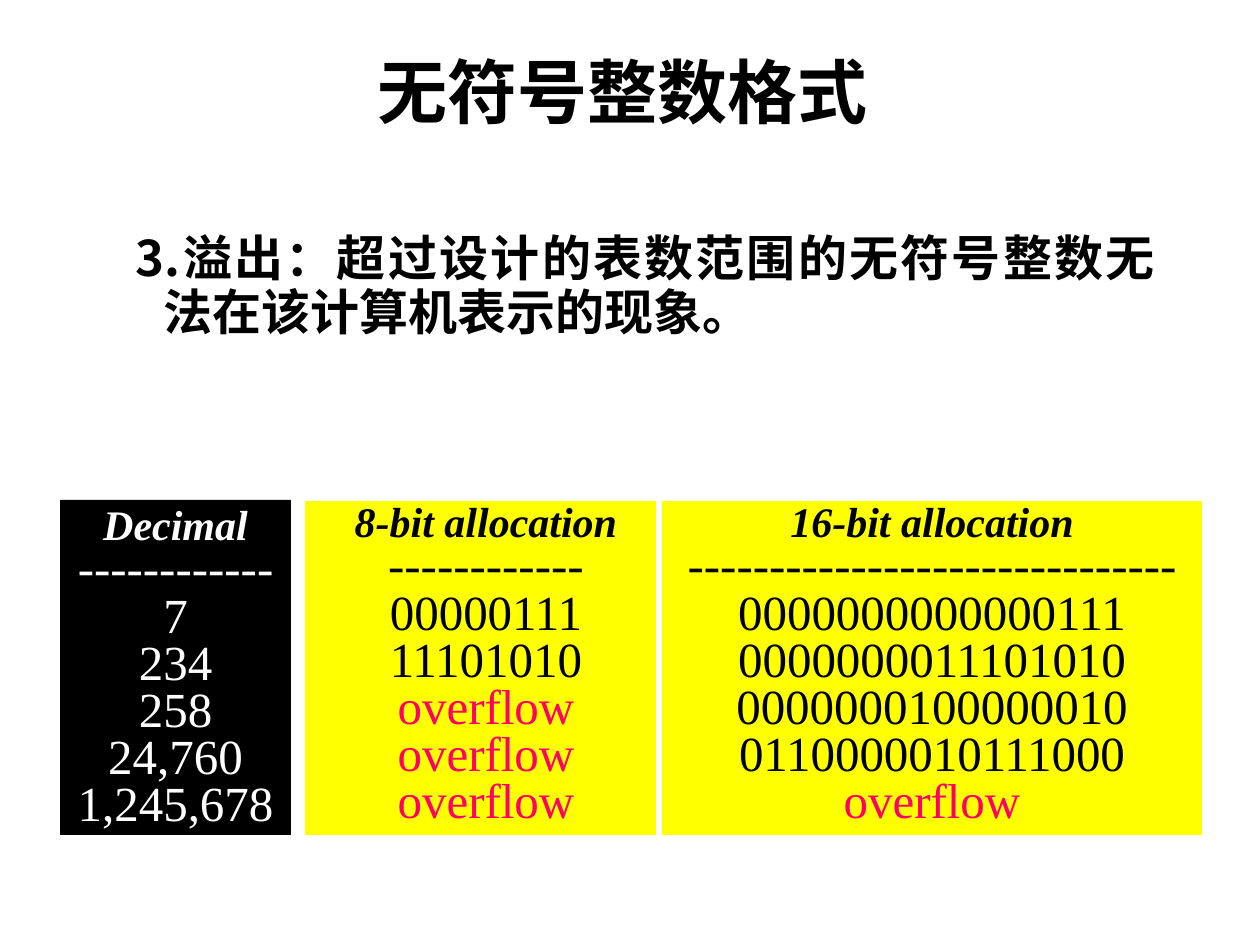
from pptx import Presentation
from pptx import util as u
from pptx.dml import color
from pptx.enum import shapes, text

SCALE = 914400 / 126
BLACK, WHITE, YELLOW, PINK = "000000", "FFFFFF", "FFFF00", "FF0066"
SANS, SERIF = "Noto Sans CJK SC", "Times New Roman"


def px(length):
    return u.Emu(round(length * SCALE))


def rgb(value):
    return color.RGBColor.from_string(value)


def apply(target, values):
    for name, value in values.items():
        setattr(target, name, value)


def set_frame(shape, **margins):
    values = dict(word_wrap=True, margin_left=px(13), margin_right=px(13),
                  margin_top=px(6), margin_bottom=px(6),
                  vertical_anchor=text.MSO_ANCHOR.TOP)
    values.update(margins)
    apply(shape.text_frame, values)


def write(paragraph, content, font, size, ink, spacing, **style):
    alignment = style.pop("alignment", text.PP_ALIGN.CENTER)
    apply(paragraph, dict(alignment=alignment, line_spacing=spacing))
    run = paragraph.add_run()
    run.text = content
    apply(run.font, dict(name=font, size=u.Pt(size), **style))
    run.font.color.rgb = rgb(ink)
    if font == SANS:
        east_asian = run._r.get_or_add_rPr().makeelement(
            "{http://schemas.openxmlformats.org/drawingml/2006/main}ea",
            {"typeface": font})
        run._r.rPr.append(east_asian)


def add_title(slide, content):
    box = slide.shapes.add_textbox(*map(px, (95, 43, 1071, 94)))
    set_frame(box, margin_right=px(29), vertical_anchor=text.MSO_ANCHOR.MIDDLE)
    write(box.text_frame.paragraphs[0], content, SANS, 40, BLACK, 1.0, bold=True)


def add_definition(slide, content):
    box = slide.shapes.add_textbox(*map(px, (72, 228, 1096, 118)))
    set_frame(box, margin_top=px(4))
    paragraph = box.text_frame.paragraphs[0]
    write(paragraph, content, SANS, 28, BLACK, u.Pt(31), bold=True,
          alignment=text.PP_ALIGN.JUSTIFY)
    properties = paragraph._p.get_or_add_pPr()
    properties.set("marL", str(px(79)))
    properties.set("indent", str(px(-28)))


def add_panel(slide, bounds, fill, ink, outline, top, heading, dashes, values):
    panel = slide.shapes.add_shape(shapes.MSO_SHAPE.RECTANGLE, *map(px, bounds))
    panel.shadow.inherit = False
    panel.fill.solid()
    panel.fill.fore_color.rgb = rgb(fill)
    if outline:
        panel.line.color.rgb = rgb(outline)
        panel.line.width = u.Pt(3)
    else:
        panel.line.fill.background()
    set_frame(panel, margin_top=px(top))
    frame = panel.text_frame
    write(frame.paragraphs[0], heading, SERIF, 24, ink, 0.8,
          bold=True, italic=True)
    for value in ["-" * dashes] + values:
        value_ink = PINK if value == "overflow" else ink
        write(frame.add_paragraph(), value, SERIF, 28, value_ink, 0.8)


def main():
    presentation = Presentation()
    apply(presentation, dict(slide_width=px(1260), slide_height=px(945)))
    slide = presentation.slides.add_slide(presentation.slide_layouts[6])
    add_title(slide, "无符号整数格式")
    add_definition(slide, "3.溢出：超过设计的表数范围的无符号整数无法在该计算机表示的现象。")
    add_panel(slide, (60, 500, 231, 335), BLACK, WHITE, None, 8, "Decimal", 12,
              ["7", "234", "258", "24,760", "1,245,678"])
    add_panel(slide, (302, 498, 368, 340), YELLOW, BLACK, WHITE, 7,
              "8-bit allocation", 12,
              ["00000111", "11101010"] + ["overflow"] * 3)
    add_panel(slide, (659, 498, 546, 340), YELLOW, BLACK, WHITE, 7,
              "16-bit allocation", 30,
              ["0000000000000111", "0000000011101010", "0000000100000010",
               "0110000010111000", "overflow"])
    presentation.save("out.pptx")


main()
